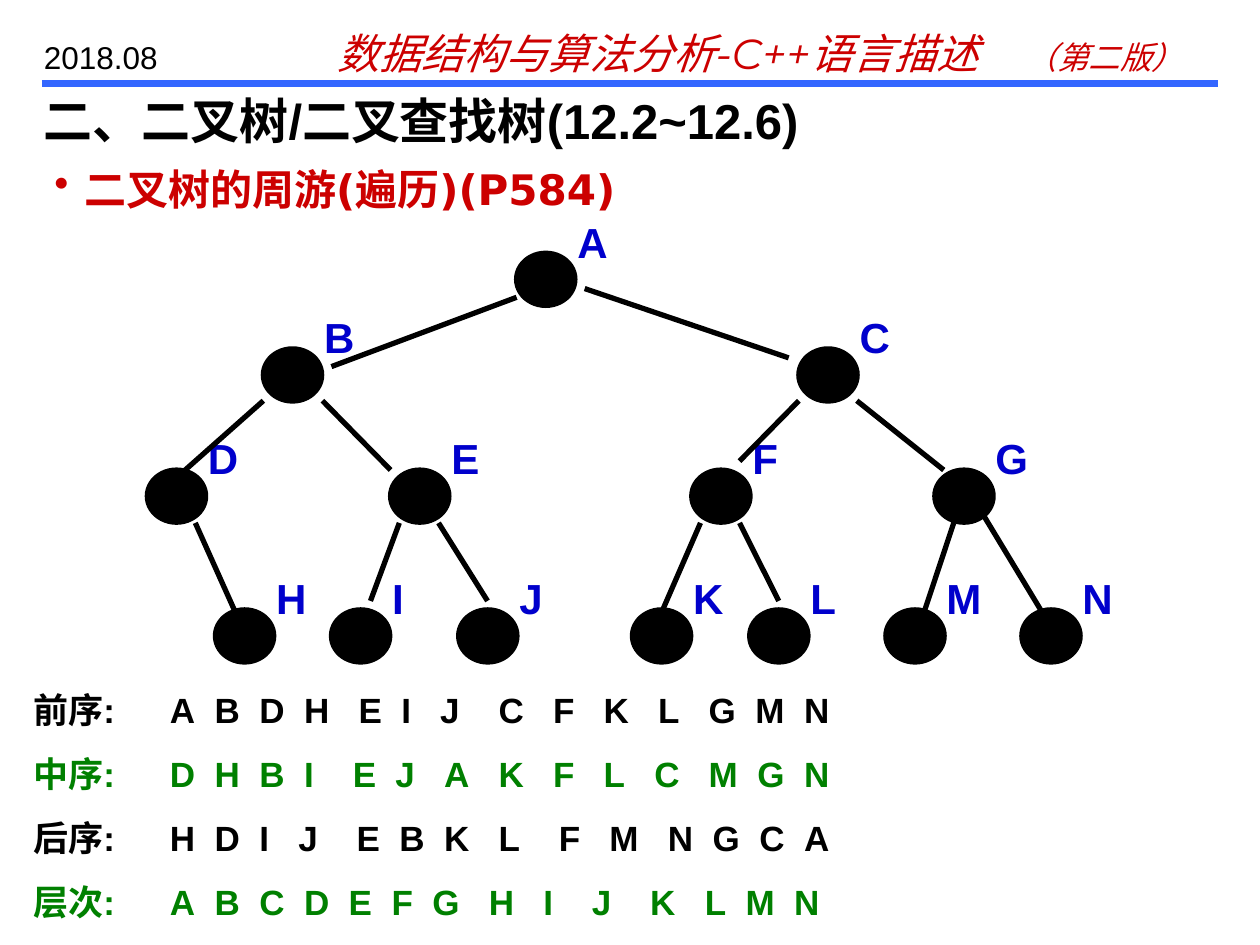
from dataclasses import dataclass
from typing import Any

from lxml import etree
from pptx import Presentation
from pptx import util as u
from pptx.dml.color import RGBColor
from pptx.enum import shapes, text
from pptx.oxml import ns

Pt = u.Pt

BLACK = RGBColor(0x00, 0x00, 0x00)
RED = RGBColor(0xCC, 0x00, 0x00)
GREEN = RGBColor(0x00, 0x80, 0x00)
LABEL_BLUE = RGBColor(0x00, 0x00, 0xCC)
RULE_BLUE = RGBColor(0x33, 0x66, 0xFF)

NODE_WIDTH, NODE_HEIGHT = 33.3, 29.8
LABEL_RIGHT, LABEL_UP = 27.6, 24.7
ROW_GAP = 12.5


@dataclass
class Run:
    wording: str
    font: dict[str, Any]
    color: RGBColor


@dataclass
class Line:
    runs: list[Run]
    tabs: tuple[float, ...] = ()
    space_before: float = 0
    bullet_indent: float = 0


@dataclass
class Level:
    top: float
    nodes: dict[str, float]  # name -> left


@dataclass
class Edge:
    begin: tuple[float, float]
    end: tuple[float, float]


@dataclass
class Traversal:
    name: str
    order: str
    tabs: tuple[float, ...]
    color: RGBColor


def font_format(size: float, name: str = "Arial", bold: bool = False, italic: bool = False) -> dict[str, Any]:
    return {"name": name, "size": Pt(size), "bold": bold, "italic": italic}


LABEL_FONT = font_format(24, bold=True)
ROW_FONT = font_format(20, bold=True)

LEVELS = [
    Level(144.7, {"A": 295.2}),
    Level(199.4, {"B": 150.5, "C": 456.5}),
    Level(268.6, {"D": 84.2, "E": 223.2, "F": 395.3, "G": 534.2}),
    Level(348.5, {"H": 123.1, "I": 189.4, "J": 262.1, "K": 361.4,
                  "L": 428.4, "M": 506.2, "N": 583.9}),
]

EDGES = [
    Edge((295.2, 169.9), (189.4, 209.5)),
    Edge((334.1, 164.9), (450.7, 204.5)),
    Edge((150.5, 229), (105.8, 268.6)),
    Edge((184.3, 229), (223.2, 268.6)),
    Edge((456.5, 229), (422.6, 263.5)),
    Edge((489.6, 229), (539.3, 268.6)),
    Edge((111.6, 298.8), (133.9, 348.5)),
    Edge((228.2, 298.8), (211.7, 343.4)),
    Edge((250.6, 298.8), (278.6, 343.4)),
    Edge((400.3, 298.8), (378.7, 348.5)),
    Edge((422.6, 298.8), (445, 343.4)),
    Edge((545, 298.8), (528.5, 348.5)),
    Edge((561.6, 293.8), (594.7, 348.5)),
]

TRAVERSALS = [
    Traversal("前序:", "ABDHEIJCFKLGMN",
              (25.6, 51.1, 76.7, 107.8, 132.3, 154.5, 187.9, 219, 247.9, 279, 307.9, 334.6, 362.4), BLACK),
    Traversal("中序:", "DHBIEJAKFLCMGN",
              (25.6, 51.1, 76.7, 104.5, 128.9, 156.7, 187.9, 219, 247.9, 276.8, 307.9, 335.7, 362.4), GREEN),
    Traversal("后序:", "HDIJEBKLFMNGCA",
              (25.6, 51.1, 73.4, 106.7, 131.2, 156.7, 187.9, 222.3, 251.2, 284.6, 310.1, 336.8, 362.4), BLACK),
    Traversal("层次:", "ABCDEFGHIJKLMN",
              (25.6, 51.1, 76.7, 102.2, 126.7, 150, 182.3, 213.4, 241.2, 274.5, 305.7, 329, 356.8), GREEN),
]


def add_bullet(paragraph, indent: float, color: RGBColor) -> None:
    properties = paragraph._p.get_or_add_pPr()
    properties.set("marL", str(Pt(indent)))
    properties.set("indent", str(-Pt(indent)))
    bullet_color = etree.SubElement(properties, ns.qn("a:buClr"))
    etree.SubElement(bullet_color, ns.qn("a:srgbClr"), val=str(color))
    etree.SubElement(properties, ns.qn("a:buChar"), char="•")


def add_tabs(paragraph, positions: tuple[float, ...]) -> None:
    tab_list = etree.SubElement(paragraph._p.get_or_add_pPr(), ns.qn("a:tabLst"))
    for position in positions:
        etree.SubElement(tab_list, ns.qn("a:tab"), pos=str(Pt(position)), algn="l")


def add_text(slide, left: float, top: float, width: float, height: float, lines: list[Line]) -> None:
    shape = slide.shapes.add_textbox(Pt(left), Pt(top), Pt(width), Pt(height))
    frame = shape.text_frame
    frame_format = {"word_wrap": True, "vertical_anchor": text.MSO_ANCHOR.TOP,
                    "auto_size": text.MSO_AUTO_SIZE.NONE}
    for key, value in frame_format.items():
        setattr(frame, key, value)
    for index, line in enumerate(lines):
        paragraph = frame.add_paragraph() if index else frame.paragraphs[0]
        if line.space_before:
            paragraph.space_before = Pt(line.space_before)
        if line.bullet_indent:
            add_bullet(paragraph, line.bullet_indent, line.runs[0].color)
        if line.tabs:
            add_tabs(paragraph, line.tabs)
        for part in line.runs:
            run = paragraph.add_run()
            run.text = part.wording
            for key, value in part.font.items():
                setattr(run.font, key, value)
            run.font.color.rgb = part.color


def add_line(slide, edge: Edge, color: RGBColor, weight: float) -> None:
    points = [Pt(value) for value in (*edge.begin, *edge.end)]
    connector = slide.shapes.add_connector(shapes.MSO_CONNECTOR.STRAIGHT, *points)
    connector.line.color.rgb = color
    connector.line.width = Pt(weight)
    etree.SubElement(connector._element.spPr, ns.qn("a:effectLst"))


def add_node(slide, name: str, left: float, top: float) -> None:
    shape = slide.shapes.add_shape(shapes.MSO_SHAPE.OVAL, Pt(left), Pt(top),
                                   Pt(NODE_WIDTH), Pt(NODE_HEIGHT))
    shape.shadow.inherit = False
    shape.fill.solid()
    shape.fill.fore_color.rgb = BLACK
    shape.line.color.rgb = BLACK
    shape.line.width = Pt(3)
    add_text(slide, left + LABEL_RIGHT, top - LABEL_UP, 72, 36,
             [Line([Run(name, LABEL_FONT, LABEL_BLUE)])])


def main() -> None:
    presentation = Presentation()
    presentation.slide_width, presentation.slide_height = Pt(720), Pt(540)
    slide = presentation.slides.add_slide(presentation.slide_layouts[6])

    # Header
    add_line(slide, Edge((24, 48), (696, 48)), RULE_BLUE, 4)
    add_text(slide, 186, 12, 504, 36, [Line([
        Run("数据结构与算法分析-C++语言描述\t", font_format(24, "Montserrat", italic=True), RED),
        Run("（第二版）", font_format(18, "Montserrat", italic=True), RED)], tabs=(393,))])
    add_text(slide, 18, 18, 102, 29, [Line([Run("2018.08", font_format(18), BLACK)])])

    # Title and topic
    add_text(slide, 18, 48, 702, 36, [Line([
        Run("二、二叉树/二叉查找树(12.2~12.6)", font_format(28, bold=True), BLACK)])])
    add_text(slide, 24, 90, 696, 36, [Line([
        Run("二叉树的周游(遍历)(P584)", font_format(24, "DejaVu Sans", bold=True), RED)],
        bullet_indent=17)])

    # Binary tree
    for level in LEVELS:
        for name, left in level.nodes.items():
            add_node(slide, name, left, level.top)
    for edge in EDGES:
        add_line(slide, edge, BLACK, 3)

    # Traversal orders
    add_text(slide, 12, 390, 78, 141, [
        Line([Run(row.name, ROW_FONT, row.color)], space_before=ROW_GAP) for row in TRAVERSALS])
    add_text(slide, 90, 390, 612, 141, [
        Line([Run("\t".join(row.order), ROW_FONT, row.color)], row.tabs, ROW_GAP)
        for row in TRAVERSALS])

    presentation.save("out.pptx")


if __name__ == "__main__":
    main()
